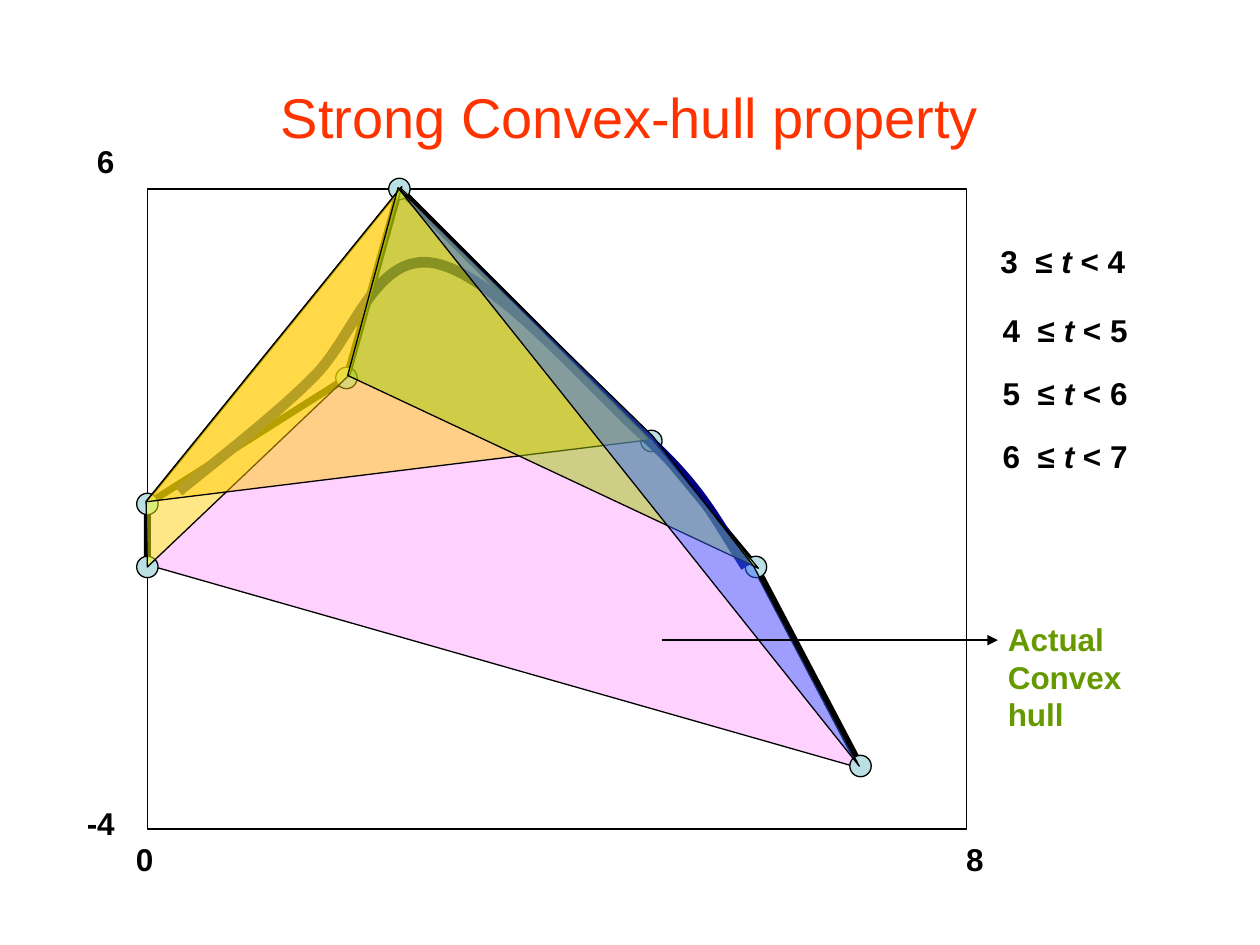
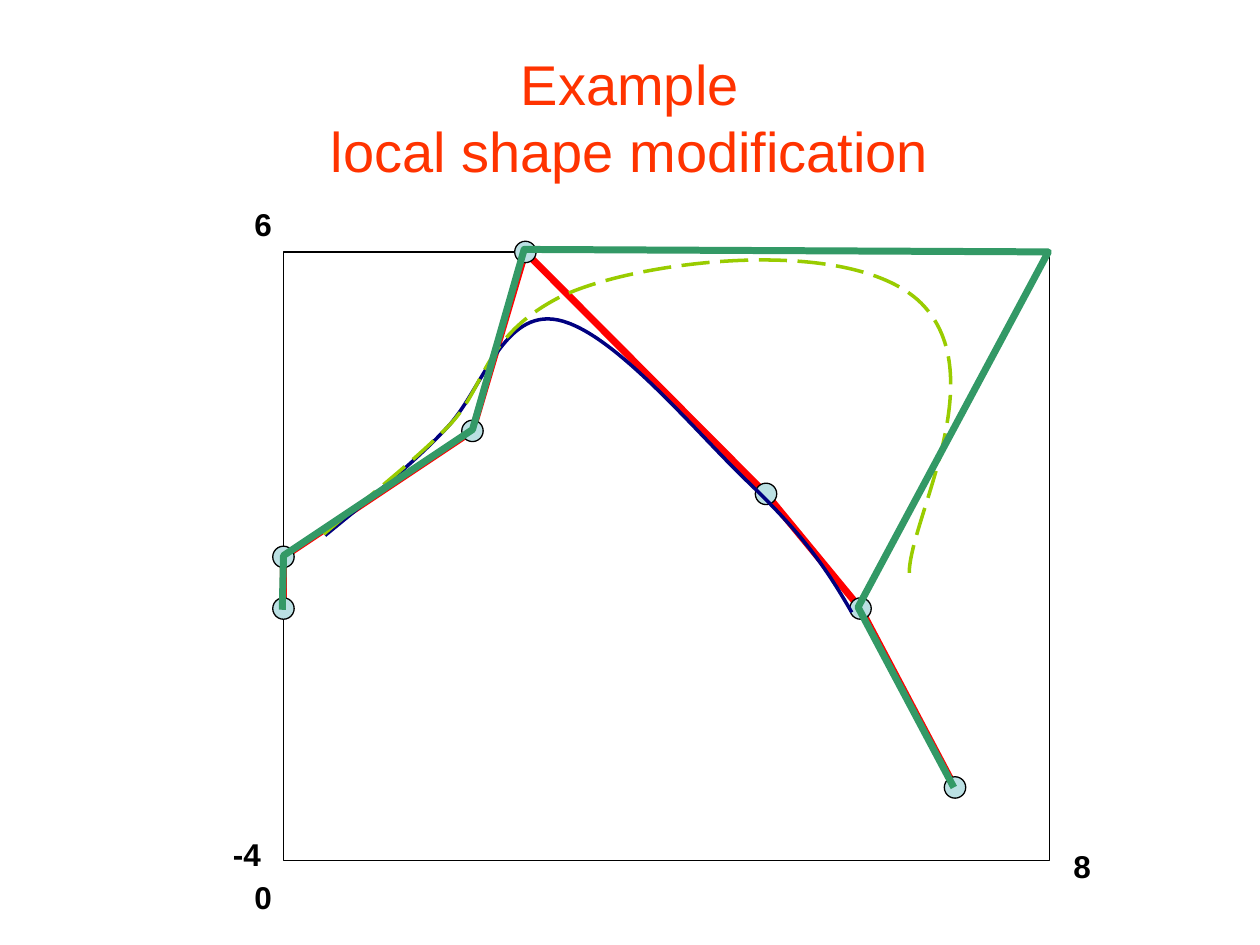
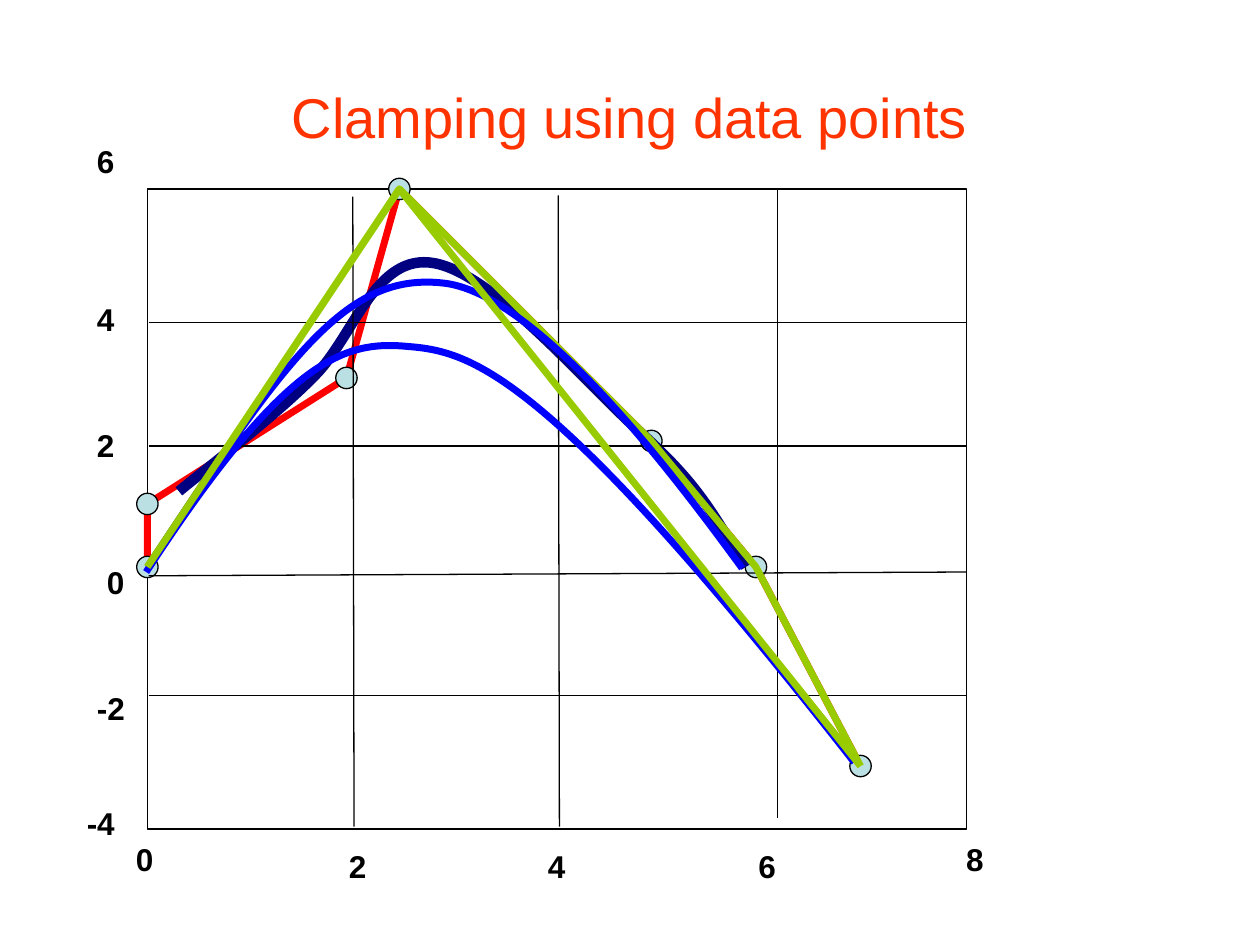
import pptx
import pptx.dml.color
import pptx.enum.dml
import pptx.enum.shapes
import pptx.enum.text
import pptx.oxml
import pptx.oxml.ns
import pptx.util
from pptx.util import Inches

RGBColor = pptx.dml.color.RGBColor
BLACK = RGBColor(0x00, 0x00, 0x00)
TITLE_RED = RGBColor(0xFF, 0x33, 0x00)
POLYGON_RED = RGBColor(0xFF, 0x00, 0x00)
DOT_BLUE = RGBColor(0xBB, 0xE0, 0xE3)
NAVY = RGBColor(0x00, 0x00, 0x80)
BLUE = RGBColor(0x00, 0x00, 0xFF)
LIME = RGBColor(0x99, 0xCC, 0x00)
SEA_GREEN = RGBColor(0x33, 0x99, 0x66)
NOTE_GREEN = RGBColor(0x66, 0x99, 0x00)
MAGENTA = RGBColor(0xFF, 0x00, 0xFF)
YELLOW = RGBColor(0xFF, 0xFF, 0x00)
GOLD = RGBColor(0xFF, 0xCC, 0x00)
SKY = RGBColor(0x33, 0x66, 0xFF)

FONT = "Arial"
TITLE_SIZE, LABEL_SIZE = 32, 18
THIN, THICK = 0.75, 4
DOT = 0.17
LINE_HEIGHT = 0.3

# Plot shared by the hull and clamping slides
FRAME = (1.17, 1.5, 6.5, 5.08)
CONTROL_POINTS = [(1.17, 4.5), (1.17, 4), (2.75, 3), (3.17, 1.5),
                  (5.17, 3.5), (6, 4.5), (6.83, 6.08)]
# A curve is a start point followed by triples: two handles and an end point
SPLINE = [(1.42, 3.9), (1.6, 3.75), (2.2, 3.29), (2.5, 2.98),
          (2.81, 2.67), (2.98, 2), (3.45, 2.09),
          (3.92, 2.18), (4.61, 3), (5.08, 3.43),
          (5.56, 3.86), (5.66, 4.09), (5.92, 4.5)]
CORNER_LABELS = [("0", 0.98, 6.62), ("8", 7.57, 6.62),
                 ("-4", 0.59, 6.33), ("6", 0.67, 1.08)]

# Strong convex hull
ACTUAL_HULL = [(1.16, 4.48), (1.18, 3.97), (3.19, 1.49), (5.19, 3.49),
               (6, 4.52), (6.84, 6.1)]
SEGMENT_HULLS = [
    (YELLOW, [(1.17, 4.5), (1.16, 3.98), (3.19, 1.48), (2.78, 2.97)]),
    (GOLD, [(1.18, 3.98), (1.16, 3.98), (3.18, 1.49), (5.16, 3.49)]),
    (LIME, [(2.76, 2.98), (3.16, 1.49), (5.18, 3.49), (6.02, 4.51)]),
    (SKY, [(3.16, 1.49), (5.18, 3.46), (5.98, 4.49), (6.82, 6.08)]),
]
INTERVALS = [(3, 7.84, 1.87), (4, 7.86, 2.42), (5, 7.86, 2.92), (6, 7.86, 3.42)]

# Local shape modification
LOCAL_FRAME = (2.25, 2, 6.08, 4.83)
LOCAL_POINTS = [(2.25, 4.83), (2.25, 4.42), (3.75, 3.42), (4.17, 2),
                (6.08, 3.92), (6.83, 4.83), (7.58, 6.25)]
MOVED_POLYGON = [(2.24, 4.84), (2.25, 4.41), (3.75, 3.41), (4.16, 1.98),
                 (8.32, 2), (6.81, 4.82), (7.57, 6.25)]
LOCAL_SPLINE = [(2.58, 4.25), (2.75, 4.11), (3.3, 3.67), (3.57, 3.37),
                (3.84, 3.06), (4, 2.45), (4.43, 2.54),
                (4.86, 2.63), (5.48, 3.38), (5.91, 3.8),
                (6.34, 4.21), (6.53, 4.46), (6.76, 4.86)]
MOVED_SPLINE = [(2.57, 4.24), (2.74, 4.09), (3.31, 3.65), (3.59, 3.35),
                (3.86, 3.05), (3.84, 2.67), (4.44, 2.36),
                (5.05, 2.06), (6.86, 1.84), (7.36, 2.46),
                (7.87, 3.08), (7.16, 4.24), (7.22, 4.6)]
LOCAL_LABELS = [("0", 1.92, 6.92), ("8", 8.42, 6.67),
                ("-4", 1.75, 6.58), ("6", 1.92, 1.58)]

# Clamping
GRID_LINES = [
    ((2.81, 6.56), (2.8, 1.56)), ((4.44, 6.56), (4.43, 1.55)),
    ((6.17, 6.49), (6.17, 1.5)), ((1.18, 5.52), (7.67, 5.52)),
    ((1.18, 4.57), (7.67, 4.54)), ((1.18, 3.54), (7.67, 3.54)),
    ((1.18, 2.56), (7.67, 2.56)),
]
GRID_LABELS = [("2", 2.67, 6.67), ("4", 4.25, 6.67), ("6", 5.92, 6.67),
               ("-2", 0.67, 5.42), ("0", 0.75, 4.42),
               ("2", 0.67, 3.33), ("4", 0.67, 2.33)]
UPPER_POLYGON = [CONTROL_POINTS[0]] + CONTROL_POINTS[3:]
LOWER_POLYGON = [CONTROL_POINTS[i] for i in (0, 3, 6)]
UPPER_CURVE = [(1.18, 4.49), (2.31, 2.77), (2.77, 2.15), (3.54, 2.25),
               (4.31, 2.36), (5.42, 3.87), (5.89, 4.51)]
LOWER_CURVE = [(1.16, 4.54), (2.27, 2.84), (2.73, 2.7), (3.24, 2.75),
               (3.75, 2.79), (4.36, 2.96), (6.78, 6.05)]


def style(shape, fill=None, opacity=100, line=BLACK, width=THIN):
    shape.shadow.inherit = False
    if fill is None:
        shape.fill.background()
    else:
        shape.fill.solid()
        shape.fill.fore_color.rgb = fill
        if opacity < 100:
            tint = next(shape.element.iter(pptx.oxml.ns.qn("a:srgbClr")))
            alpha = pptx.oxml.parse_xml(
                f'<a:alpha {pptx.oxml.ns.nsdecls("a")} val="{opacity * 1000}"/>')
            tint.append(alpha)
    shape.line.color.rgb = line
    shape.line.width = pptx.util.Pt(width)


def add_outline(page, points, closed=False, **look):
    corners = [(Inches(x), Inches(y)) for x, y in points]
    builder = page.shapes.build_freeform(*corners[0])
    builder.add_line_segments(corners[1:], close=closed)
    outline = builder.convert_to_shape()
    style(outline, **look)
    return outline


def add_curve(page, points, **look):
    """Draw an open outline, then turn each three line steps into a Bézier."""
    curve = add_outline(page, points, **look)
    steps = list(curve.element.iter(pptx.oxml.ns.qn("a:lnTo")))
    for first in range(0, len(steps), 3):
        bezier = pptx.oxml.parse_xml(
            f'<a:cubicBezTo {pptx.oxml.ns.nsdecls("a")}/>')
        steps[first].addprevious(bezier)
        for step in steps[first:first + 3]:
            bezier.append(step[0])
            step.getparent().remove(step)
    return curve


def add_line(page, start, end, arrow=False):
    line = page.shapes.add_connector(
        pptx.enum.shapes.MSO_CONNECTOR.STRAIGHT,
        *(Inches(value) for value in start + end))
    line.line.color.rgb = BLACK
    line.line.width = pptx.util.Pt(THIN)
    declared = pptx.oxml.ns.nsdecls("a")
    if arrow:
        line.line._get_or_add_ln().append(
            pptx.oxml.parse_xml(f'<a:tailEnd {declared} type="triangle"/>'))
    line.element.spPr.append(pptx.oxml.parse_xml(f"<a:effectLst {declared}/>"))


def add_frame(page, place):
    frame = page.shapes.add_shape(pptx.enum.shapes.MSO_SHAPE.RECTANGLE,
                                  *map(Inches, place))
    style(frame)


def add_dots(page, points):
    for x, y in points:
        dot = page.shapes.add_shape(
            pptx.enum.shapes.MSO_SHAPE.OVAL, Inches(x - DOT / 2),
            Inches(y - DOT / 2), Inches(DOT), Inches(DOT))
        style(dot, fill=DOT_BLUE)


def add_run(para, text, size, color, bold=False, italic=False):
    span = para.add_run()
    span.text = text
    span.font.name = FONT
    span.font.size = pptx.util.Pt(size)
    span.font.color.rgb = color
    span.font.bold = bold
    span.font.italic = italic


def add_title(page, lines):
    box = page.shapes.add_textbox(Inches(0.5), Inches(0.3), Inches(9), Inches(1.25))
    frame = box.text_frame
    frame.word_wrap = True
    frame.vertical_anchor = pptx.enum.text.MSO_ANCHOR.MIDDLE
    para = frame.paragraphs[0]
    para.alignment = pptx.enum.text.PP_ALIGN.CENTER
    for number, line in enumerate(lines):
        if number:
            para.add_line_break()
        add_run(para, line, TITLE_SIZE, TITLE_RED)


def add_label(page, lines, left, top, width, color=BLACK):
    """Add a bold label; each line is a list of (text, italic) pieces."""
    box = page.shapes.add_textbox(Inches(left), Inches(top), Inches(width),
                                  Inches(0.1 + LINE_HEIGHT * len(lines)))
    frame = box.text_frame
    frame.word_wrap = False
    frame.auto_size = pptx.enum.text.MSO_AUTO_SIZE.SHAPE_TO_FIT_TEXT
    for number, pieces in enumerate(lines):
        para = frame.add_paragraph() if number else frame.paragraphs[0]
        for text, italic in pieces:
            add_run(para, text, LABEL_SIZE, color, True, italic)


def add_axis_labels(page, labels):
    for text, left, top in labels:
        width = 0.34 if len(text) == 1 else 0.42
        add_label(page, [[(text, False)]], left, top, width)


def build_hull_page(page):
    add_outline(page, ACTUAL_HULL, closed=True, fill=MAGENTA, opacity=18)
    add_frame(page, FRAME)
    add_title(page, ["Strong Convex-hull property"])
    add_outline(page, CONTROL_POINTS, width=THICK)
    add_dots(page, CONTROL_POINTS)
    add_curve(page, SPLINE, line=NAVY, width=6)
    for color, corners in SEGMENT_HULLS:
        add_outline(page, corners, closed=True, fill=color, opacity=47)
    add_axis_labels(page, CORNER_LABELS)
    for start, left, top in INTERVALS:
        pieces = [(f"{start}  ≤ ", False), ("t", True), (f" < {start + 1}", False)]
        add_label(page, [pieces], left, top, 1.31)
    add_line(page, (5.25, 5.08), (7.92, 5.08), arrow=True)
    add_label(page, [[("Actual", False)], [("Convex hull", False)]],
              7.9, 4.87, 1.61, NOTE_GREEN)


def build_local_page(page):
    add_frame(page, LOCAL_FRAME)
    add_outline(page, LOCAL_POINTS, line=POLYGON_RED, width=THICK)
    add_title(page, ["Example", "local shape modification"])
    add_axis_labels(page, LOCAL_LABELS)
    add_dots(page, LOCAL_POINTS)
    add_curve(page, LOCAL_SPLINE, line=NAVY, width=2)
    moved = add_curve(page, MOVED_SPLINE, line=LIME, width=2)
    moved.line.dash_style = pptx.enum.dml.MSO_LINE.LONG_DASH
    add_outline(page, MOVED_POLYGON, line=SEA_GREEN, width=THICK)


def build_clamping_page(page):
    add_frame(page, FRAME)
    add_title(page, ["Clamping using data points"])
    add_outline(page, CONTROL_POINTS, line=POLYGON_RED, width=THICK)
    add_dots(page, CONTROL_POINTS)
    add_curve(page, SPLINE, line=NAVY, width=6)
    add_axis_labels(page, CORNER_LABELS + GRID_LABELS)
    for start, end in GRID_LINES:
        add_line(page, start, end)
    add_outline(page, UPPER_POLYGON, line=LIME, width=THICK)
    for curve in (UPPER_CURVE, LOWER_CURVE):
        add_curve(page, curve, line=BLUE, width=THICK)
    add_outline(page, LOWER_POLYGON, line=LIME, width=THICK)


def main():
    deck = pptx.Presentation()
    deck.slide_width, deck.slide_height = Inches(10), Inches(7.5)
    for build in (build_hull_page, build_local_page, build_clamping_page):
        build(deck.slides.add_slide(deck.slide_layouts[6]))
    deck.save("out.pptx")


if __name__ == "__main__":
    main()
